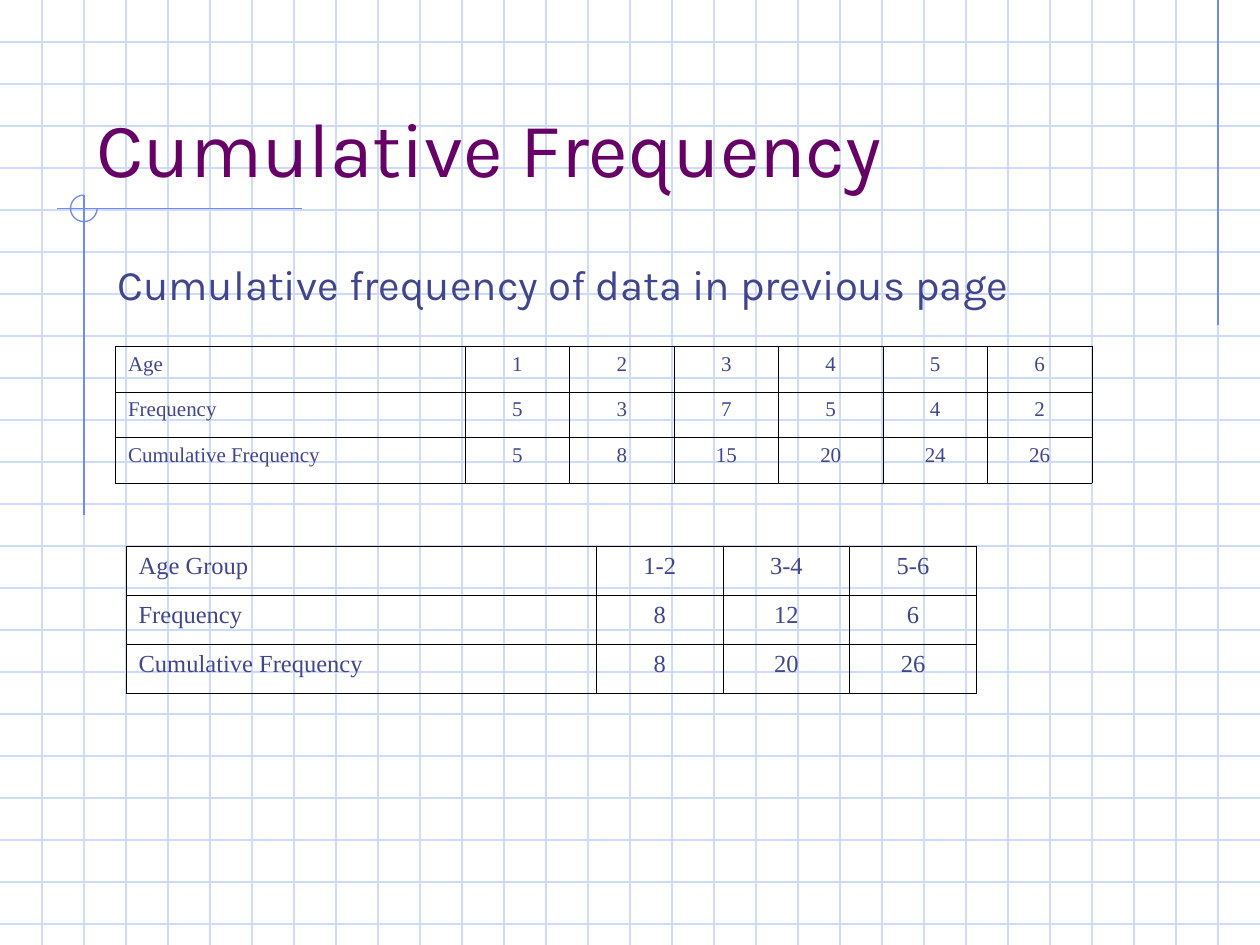
from lxml import etree
from pptx import Presentation
from pptx.dml.color import RGBColor
from pptx.enum.shapes import MSO_CONNECTOR, MSO_SHAPE
from pptx.enum.text import MSO_ANCHOR, PP_ALIGN
from pptx.oxml.ns import qn
from pptx.util import Pt

STRAIGHT = MSO_CONNECTOR.STRAIGHT
ARC = MSO_SHAPE.ARC
TOP, BOTTOM = MSO_ANCHOR.TOP, MSO_ANCHOR.BOTTOM
LEFT, CENTER = PP_ALIGN.LEFT, PP_ALIGN.CENTER

COLORS = {
    "grid": "CFDBFD",
    "accent": "6F89F7",
    "title": "660066",
    "body": "40458C",
    "border": "000000",
}
WIDTH, HEIGHT = 720, 540
GRID_STEP = 24
HEADING_FONT, TABLE_FONT = "Karla", "Times New Roman"

AGE_ROWS = [
    ["Age", "1", "2", "3", "4", "5", "6"],
    ["Frequency", "5", "3", "7", "5", "4", "2"],
    ["Cumulative Frequency", "5", "8", "15", "20", "24", "26"],
]
GROUP_ROWS = [
    ["Age Group", "1-2", "3-4", "5-6"],
    ["Frequency", "8", "12", "6"],
    ["Cumulative Frequency", "8", "20", "26"],
]


def rgb(name):
    return RGBColor.from_string(COLORS[name])


def add_line(slide, x1, y1, x2, y2, color):
    line = slide.shapes.add_connector(STRAIGHT, Pt(x1), Pt(y1), Pt(x2), Pt(y2))
    line.line.color.rgb = rgb(color)
    line.line.width = Pt(0.75)
    etree.SubElement(line._element.spPr, qn("a:effectLst"))


def add_grid(slide):
    for y in range(GRID_STEP, HEIGHT, GRID_STEP):
        add_line(slide, 0, y, WIDTH, y, "grid")
    for x in range(GRID_STEP, WIDTH, GRID_STEP):
        add_line(slide, x, 0, x, HEIGHT, "grid")


def add_accents(slide):
    add_line(slide, 696, 0, 696, 186, "accent")
    add_line(slide, 172.8, 119.2, 32.4, 119.2, "accent")
    add_line(slide, 48, 111.5, 48, 294.5, "accent")
    # Three quarters of a circle, open at the upper right
    ring = slide.shapes.add_shape(ARC, Pt(40.3), Pt(111.5), Pt(15.2), Pt(15.2))
    ring.adjustments[0] = 0
    ring.adjustments[1] = 162  # 270 degrees
    ring.shadow.inherit = False
    ring.fill.background()
    ring.line.color.rgb = rgb("accent")
    ring.line.width = Pt(0.75)


def add_run(paragraph, text, font, size, color):
    run = paragraph.add_run()
    run.text = text
    run.font.name = font
    run.font.size = Pt(size)
    run.font.color.rgb = rgb(color)


def add_heading(slide, text, box, size, color, anchor):
    frame = slide.shapes.add_textbox(*map(Pt, box)).text_frame
    frame.word_wrap = True
    frame.vertical_anchor = anchor
    add_run(frame.paragraphs[0], text, HEADING_FONT, size, color)


def style_cell(cell):
    properties = cell._tc.get_or_add_tcPr()
    for side in ("a:lnL", "a:lnR", "a:lnT", "a:lnB"):
        border = etree.SubElement(properties, qn(side), w=str(Pt(0.45)))
        fill = etree.SubElement(border, qn("a:solidFill"))
        etree.SubElement(fill, qn("a:srgbClr"), val=COLORS["border"])
    cell.fill.background()


def add_data_table(slide, rows, left, top, label_width, value_width,
                   row_height, size):
    widths = [label_width] + [value_width] * (len(rows[0]) - 1)
    table = slide.shapes.add_table(
        len(rows), len(widths), Pt(left), Pt(top),
        Pt(sum(widths)), Pt(row_height * len(rows))).table
    table.first_row = table.horz_banding = False
    for column, width in zip(table.columns, widths):
        column.width = Pt(width)
    for r, values in enumerate(rows):
        table.rows[r].height = Pt(row_height)
        for c, value in enumerate(values):
            cell = table.cell(r, c)
            style_cell(cell)
            paragraph = cell.text_frame.paragraphs[0]
            paragraph.alignment = CENTER if c else LEFT
            add_run(paragraph, value, TABLE_FONT, size, "body")


def main():
    deck = Presentation()
    deck.slide_width, deck.slide_height = Pt(WIDTH), Pt(HEIGHT)
    slide = deck.slides.add_slide(deck.slide_layouts[6])

    # Graph-paper background
    add_grid(slide)
    add_accents(slide)

    # Headings
    add_heading(slide, "Cumulative Frequency", (48, 24, 612, 90),
                44, "title", BOTTOM)
    add_heading(slide, "Cumulative frequency of data in previous page",
                (60, 144, 624, 36), 24, "body", TOP)

    # Frequency tables
    add_data_table(slide, GROUP_ROWS, 72, 312, 268.8, 72.4, 28, 14)
    add_data_table(slide, AGE_ROWS, 66, 198, 199.8, 59.7, 26, 12)

    deck.save("out.pptx")


if __name__ == "__main__":
    main()
